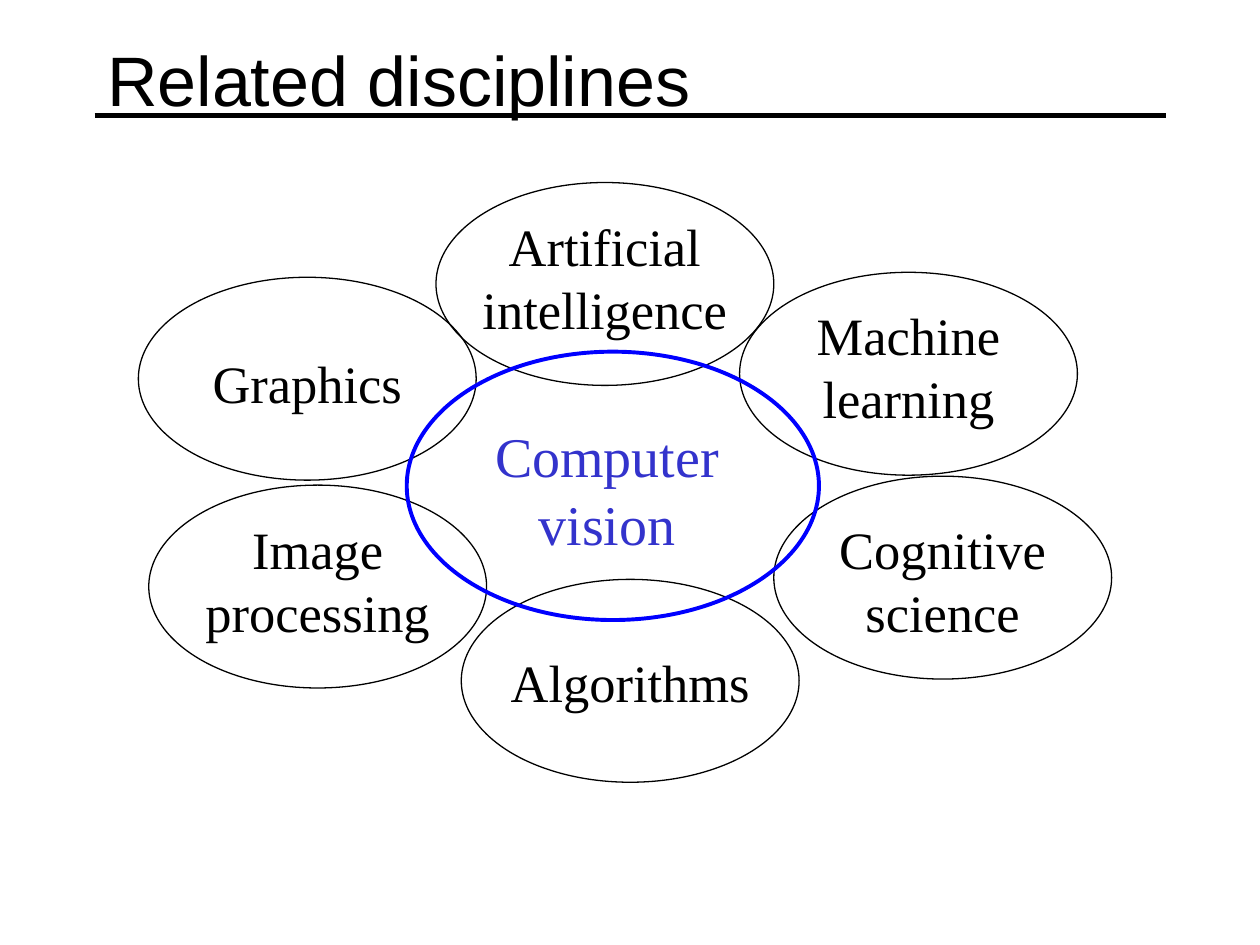
from dataclasses import dataclass

import lxml.etree
import pptx
import pptx.dml.color
import pptx.enum.shapes
import pptx.enum.text
import pptx.oxml.ns
import pptx.shapes.autoshape
import pptx.util
from pptx.util import Cm


@dataclass(frozen=True)
class Theme:
    black: str = "000000"
    ring_blue: str = "0000FF"
    label_blue: str = "3333CC"
    title_font: str = "Arial"
    label_font: str = "Times New Roman"
    title_size: float = 40
    label_size: float = 30
    center_size: float = 32
    leading: float = 1.2
    thin: float = 0.75
    medium: float = 2.25
    thick: float = 3


@dataclass(frozen=True)
class Discipline:
    name: str
    left: float
    top: float
    label_top: float
    label_height: float = 2.8
    label_width: float = 5.79


THEME = Theme()
ELLIPSE_WIDTH = 6.81
ELLIPSE_HEIGHT = 4.09

DISCIPLINES = [
    Discipline("Cognitive science", 15.6, 9.6, 10.29, label_width=5.41),
    Discipline("Algorithms", 9.3, 11.68, 12.98, label_height=1.53),
    Discipline("Image processing", 3.0, 9.78, 10.29),
    Discipline("Artificial intelligence", 8.79, 3.68, 4.19),
    Discipline("Graphics", 2.79, 5.59, 6.96, label_height=1.53),
    Discipline("Machine learning", 14.91, 5.49, 5.99),
]


def color(value: str) -> pptx.dml.color.RGBColor:
    return pptx.dml.color.RGBColor.from_string(value)


def add_text(shapes, text: str, left: float, top: float, width: float, height: float, *,
             size: float = THEME.label_size, font: str = THEME.label_font,
             text_color: str = THEME.black, leading: float | None = THEME.leading,
             alignment=pptx.enum.text.PP_ALIGN.CENTER,
             anchor=pptx.enum.text.MSO_ANCHOR.TOP) -> pptx.shapes.autoshape.Shape:
    shape = shapes.add_textbox(Cm(left), Cm(top), Cm(width), Cm(height))
    frame = shape.text_frame
    frame.word_wrap = True
    frame.vertical_anchor = anchor
    paragraph = frame.paragraphs[0]
    paragraph.alignment = alignment
    if leading:
        paragraph.line_spacing = pptx.util.Pt(size * leading)
    run = paragraph.add_run()
    run.text = text
    run.font.name = font
    run.font.size = pptx.util.Pt(size)
    run.font.color.rgb = color(text_color)
    return shape


def add_ellipse(shapes, left: float, top: float, width: float, height: float, *,
                line_color: str = THEME.black, line_width: float = THEME.thin) -> None:
    shape = shapes.add_shape(pptx.enum.shapes.MSO_SHAPE.OVAL,
                             Cm(left), Cm(top), Cm(width), Cm(height))
    shape.shadow.inherit = False
    shape.fill.background()
    shape.line.color.rgb = color(line_color)
    shape.line.width = pptx.util.Pt(line_width)


def add_rule(shapes, left: float, right: float, height: float) -> None:
    connector = shapes.add_connector(pptx.enum.shapes.MSO_CONNECTOR.STRAIGHT,
                                     Cm(left), Cm(height), Cm(right), Cm(height))
    connector.line.color.rgb = color(THEME.black)
    connector.line.width = pptx.util.Pt(THEME.thick)
    lxml.etree.SubElement(connector._element.spPr, pptx.oxml.ns.qn("a:effectLst"))


def add_discipline(shapes, discipline: Discipline) -> None:
    group = shapes.add_group_shape()
    label_left = discipline.left + (ELLIPSE_WIDTH - discipline.label_width) / 2
    add_text(group.shapes, discipline.name, label_left, discipline.label_top,
             discipline.label_width, discipline.label_height)
    add_ellipse(group.shapes, discipline.left, discipline.top, ELLIPSE_WIDTH, ELLIPSE_HEIGHT)


def main() -> None:
    presentation = pptx.Presentation()
    presentation.slide_width = Cm(25.4)
    presentation.slide_height = Cm(19.05)
    slide = presentation.slides.add_slide(presentation.slide_layouts[6])

    add_rule(slide.shapes, 1.91, 23.5, 2.33)
    add_text(slide.shapes, "Related disciplines", 1.91, 0, 21.59, 3.18,
             size=THEME.title_size, font=THEME.title_font, leading=None,
             alignment=pptx.enum.text.PP_ALIGN.LEFT,
             anchor=pptx.enum.text.MSO_ANCHOR.MIDDLE)
    for discipline in DISCIPLINES:
        add_discipline(slide.shapes, discipline)
    add_ellipse(slide.shapes, 8.2, 7.09, 8.31, 5.41,
                line_color=THEME.ring_blue, line_width=THEME.medium)
    add_text(slide.shapes, "Computer vision", 9.19, 8.38, 6.1, 2.97,
             size=THEME.center_size, text_color=THEME.label_blue)
    presentation.save("out.pptx")


if __name__ == "__main__":
    main()
